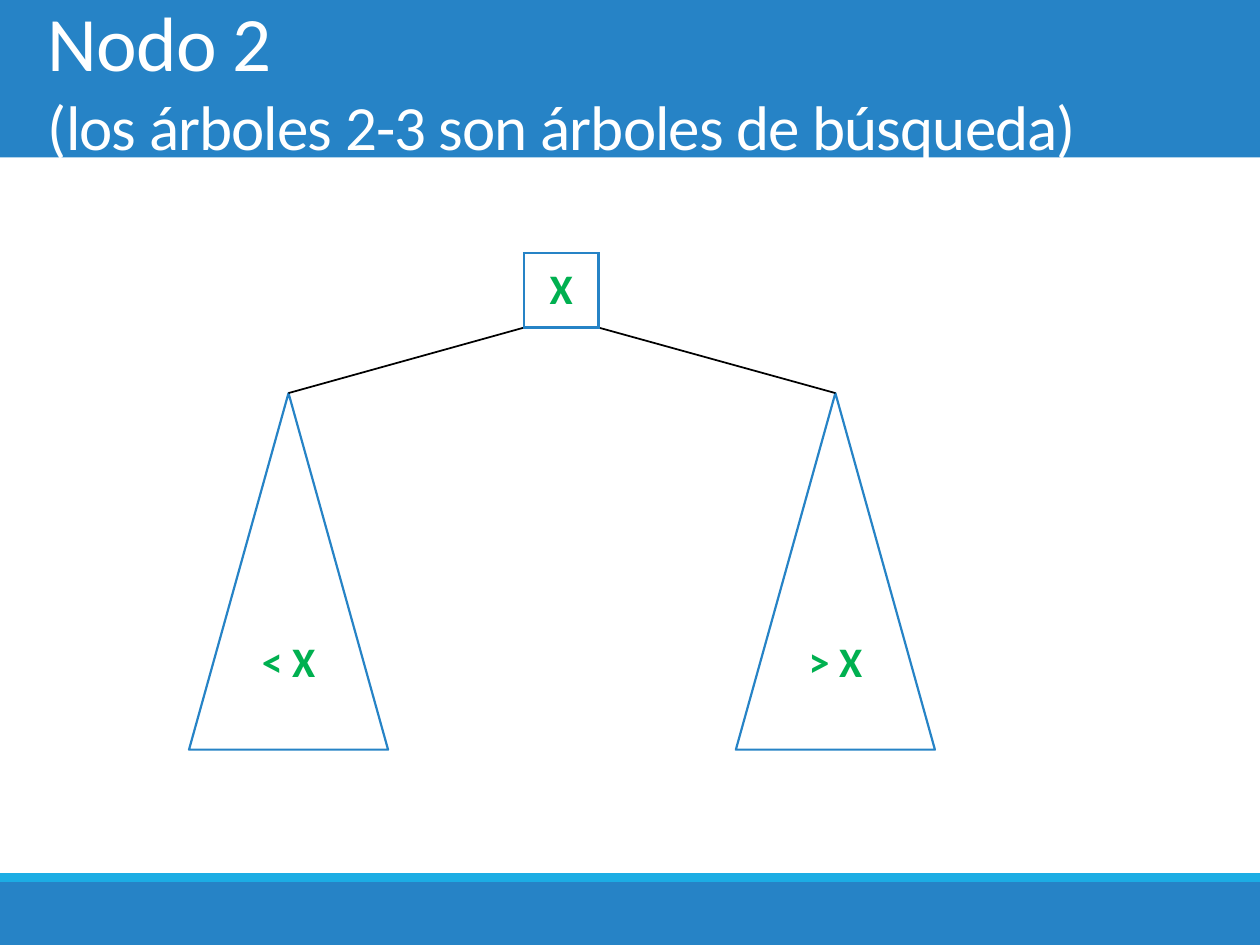
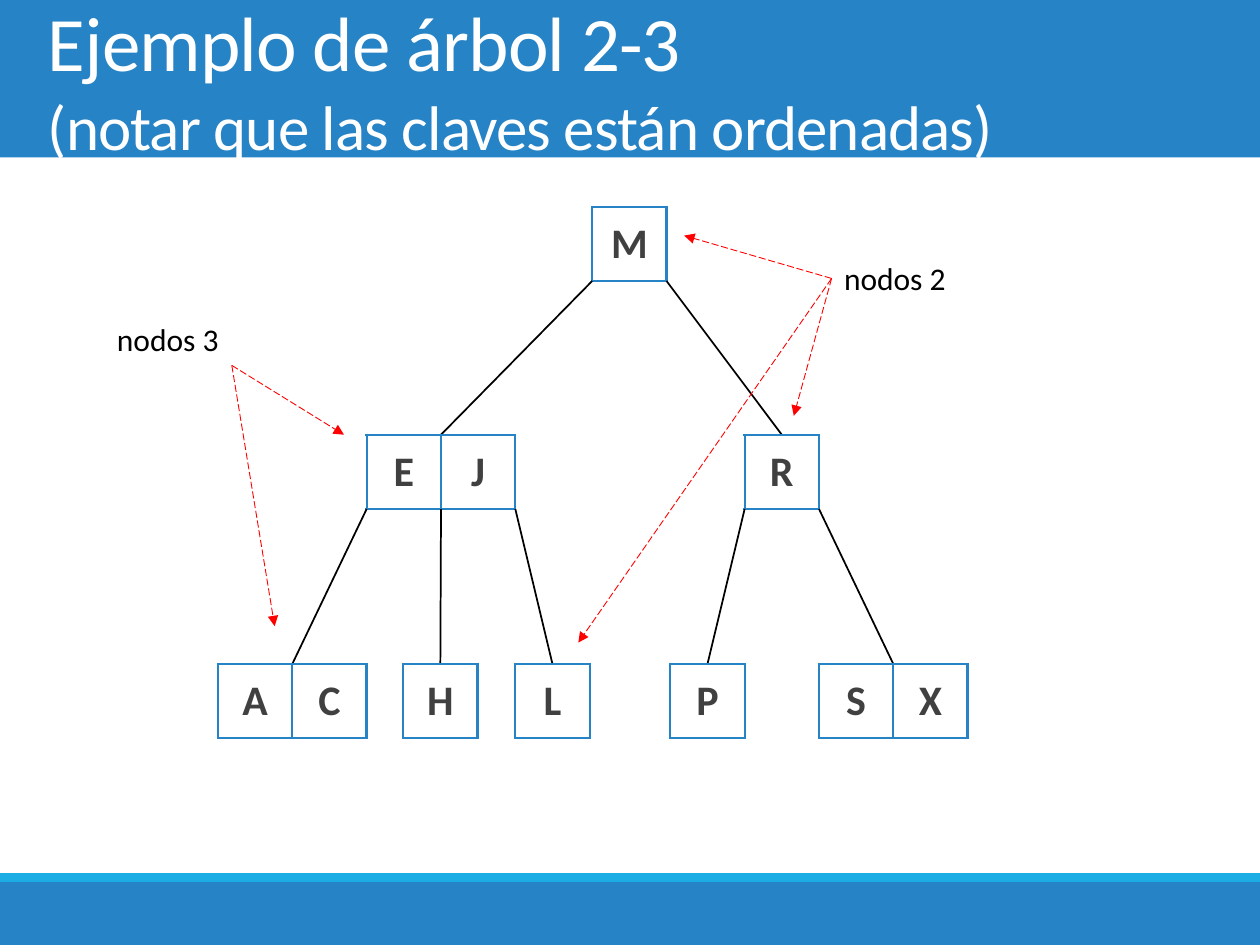
from lxml import etree
from pptx import Presentation
from pptx.dml.color import RGBColor
from pptx.enum import dml, shapes, text
from pptx.oxml import ns
from pptx.util import Inches, Pt

BLUE = RGBColor(0x26, 0x83, 0xC6)
CYAN = RGBColor(0x1C, 0xAD, 0xE4)
GREEN = RGBColor(0x00, 0xB0, 0x50)
GREY = RGBColor(0x40, 0x40, 0x40)
RED = RGBColor(0xFF, 0x00, 0x00)
BLACK = RGBColor(0x00, 0x00, 0x00)
WHITE = RGBColor(0xFF, 0xFF, 0xFF)

FONT = "Calibri"
KEY = {"size": Pt(24), "bold": True}
LABEL = {"size": Pt(18)}
BANDS = ((0, 1.25, BLUE), (7, 0.5, BLUE), (6.93, 0.07, CYAN))  # top, height, colour
CELL = 0.59
LEVELS = (0, 1.81, 3.63)
# Each node: keys, left edge in the tree's box, children
TREE = ("M", 2.97, (
    ("EJ", 1.18, (("AC", 0, ()), ("H", 1.47, ()), ("L", 2.36, ()))),
    ("R", 4.18, (("P", 3.59, ()), ("SX", 4.77, ()))),
))


def inches(*values):
    return [Inches(v) for v in values]


def style(font, color, formats):
    font.name = FONT
    font.color.rgb = color
    for name, value in formats.items():
        setattr(font, name, value)


def write_key(tf, key, color):
    p = tf.paragraphs[0]
    p.alignment = text.PP_ALIGN.CENTER
    r = p.add_run()
    r.text = key
    style(r.font, color, KEY)


def add_line(s, start, end, color=BLACK, width=1):
    line = s.shapes.add_connector(shapes.MSO_CONNECTOR.STRAIGHT, *inches(*start, *end))
    line.line.color.rgb = color
    line.line.width = Pt(width)
    etree.SubElement(line.element.spPr, ns.qn("a:effectLst"))
    return line


def add_arrow(s, start, end):
    arrow = add_line(s, start, end, RED, 0.5)
    arrow.line.dash_style = dml.MSO_LINE.LONG_DASH
    ln = arrow.element.spPr.find(ns.qn("a:ln"))
    etree.SubElement(ln, ns.qn("a:tailEnd"), type="triangle")


def add_border(cell, width):
    tc_pr = cell._tc.get_or_add_tcPr()
    for side in "LRTB":
        ln = etree.SubElement(tc_pr, ns.qn(f"a:ln{side}"), w=str(Pt(width)))
        fill = etree.SubElement(ln, ns.qn("a:solidFill"))
        etree.SubElement(fill, ns.qn("a:srgbClr"), val=str(BLUE))


def add_node(s, keys, left, top, color):
    """Draw a tree node as a one-row table with a cell for each key."""
    box = inches(left, top, CELL * len(keys), CELL)
    table = s.shapes.add_table(1, len(keys), *box).table
    table.first_row = table.horz_banding = False
    for cell, key in zip(table.rows[0].cells, keys):
        add_border(cell, 1.5)
        cell.fill.solid()
        cell.fill.fore_color.rgb = WHITE
        cell.vertical_anchor = text.MSO_ANCHOR.MIDDLE
        write_key(cell.text_frame, key, color)


def add_subtree(s, node, left, top, level=0):
    """Draw a node and its children, each child hanging from a gap between keys."""
    keys, x, children = node
    y = top + LEVELS[level]
    add_node(s, keys, left + x, y, GREY)
    for i, child in enumerate(children):
        child_middle = left + child[1] + CELL * len(child[0]) / 2
        add_line(s, (left + x + i * CELL, y + CELL),
                 (child_middle, top + LEVELS[level + 1]))
        add_subtree(s, child, left, top, level + 1)


def add_triangle(s, label, left, top, width, height):
    triangle = s.shapes.add_shape(shapes.MSO_SHAPE.ISOSCELES_TRIANGLE,
                                  *inches(left, top, width, height))
    triangle.shadow.inherit = False
    triangle.fill.solid()
    triangle.fill.fore_color.rgb = WHITE
    triangle.line.color.rgb = BLUE
    triangle.line.width = Pt(1.25)
    triangle.text_frame.vertical_anchor = text.MSO_ANCHOR.MIDDLE
    write_key(triangle.text_frame, label, GREEN)
    return triangle


def add_search_node(s, left, top):
    """Draw node X with its smaller and larger subtrees."""
    node_left, apex = left + 2.66, top + 1.11
    for i, (label, x) in enumerate((("< X", 0), ("> X", 4.34))):
        triangle = add_triangle(s, label, left + x, apex, 1.58, 2.83)
        edge = add_line(s, (node_left + i * CELL, top + CELL), (left + x + 0.79, apex))
        edge.end_connect(triangle, 0)
    add_node(s, "X", node_left, top, GREEN)


def add_callout(s, label, left, top, tail, targets):
    """Write a label and point arrows from its tail (an offset) to the targets."""
    tf = s.shapes.add_textbox(*inches(left, top, 1.02, 0.4)).text_frame
    tf.word_wrap = False
    r = tf.paragraphs[0].add_run()
    r.text = label
    style(r.font, BLACK, LABEL)
    for x, y in targets:
        add_arrow(s, (left + tail[0], top + tail[1]), (left + x, top + y))


def add_titled_slide(prs, layout, heading, note):
    s = prs.slides.add_slide(layout)
    tf = s.shapes.title.text_frame
    tf.auto_size = text.MSO_AUTO_SIZE.NONE
    tf.vertical_anchor = text.MSO_ANCHOR.MIDDLE
    p = tf.paragraphs[0]
    p.alignment = text.PP_ALIGN.LEFT
    for line, size in ((heading, 44), (note, 36)):
        if p.runs:
            p.add_line_break()
        r = p.add_run()
        r.text = line
        style(r.font, WHITE, {"size": Pt(size)})
        r.font._element.set("spc", "-50")
    return s


def prepare_layout(layout, s):
    """Move bands drawn on a slide to its layout, and place the title there."""
    for ph in list(layout.placeholders):
        if ph.placeholder_format.type == shapes.PP_PLACEHOLDER.TITLE:
            ph.left, ph.top, ph.width, ph.height = inches(0.28, 0, 9.45, 1.25)
        else:
            layout.shapes.element.remove(ph.element)
    for i, (top, height, color) in enumerate(BANDS):
        band = s.shapes.add_shape(shapes.MSO_SHAPE.RECTANGLE, *inches(0, top, 10, height))
        band.name = f"Band {i + 1}"
        band.shadow.inherit = False
        band.fill.solid()
        band.fill.fore_color.rgb = color
        band.line.fill.background()
        layout.shapes.element.insert(2 + i, band.element)


def main():
    prs = Presentation()
    prs.slide_width, prs.slide_height = inches(10, 7.5)
    layout = prs.slide_layouts[5]

    s = add_titled_slide(prs, layout, "Nodo 2", "(los árboles 2-3 son árboles de búsqueda)")
    prepare_layout(layout, s)
    add_search_node(s, 1.5, 2.01)

    s = add_titled_slide(prs, layout, "Ejemplo de árbol 2-3",
                         "(notar que las claves están ordenadas)")
    add_subtree(s, TREE, 1.73, 1.64)
    add_callout(s, "nodos 2", 6.6, 2.01, (0, 0.2),
                ((-1.17, -0.14), (-0.3, 1.29), (-2.01, 3.09)))
    add_callout(s, "nodos 3", 0.83, 2.49, (1.01, 0.41), ((1.9, 0.96), (1.35, 2.48)))

    prs.save("out.pptx")


if __name__ == "__main__":
    main()
